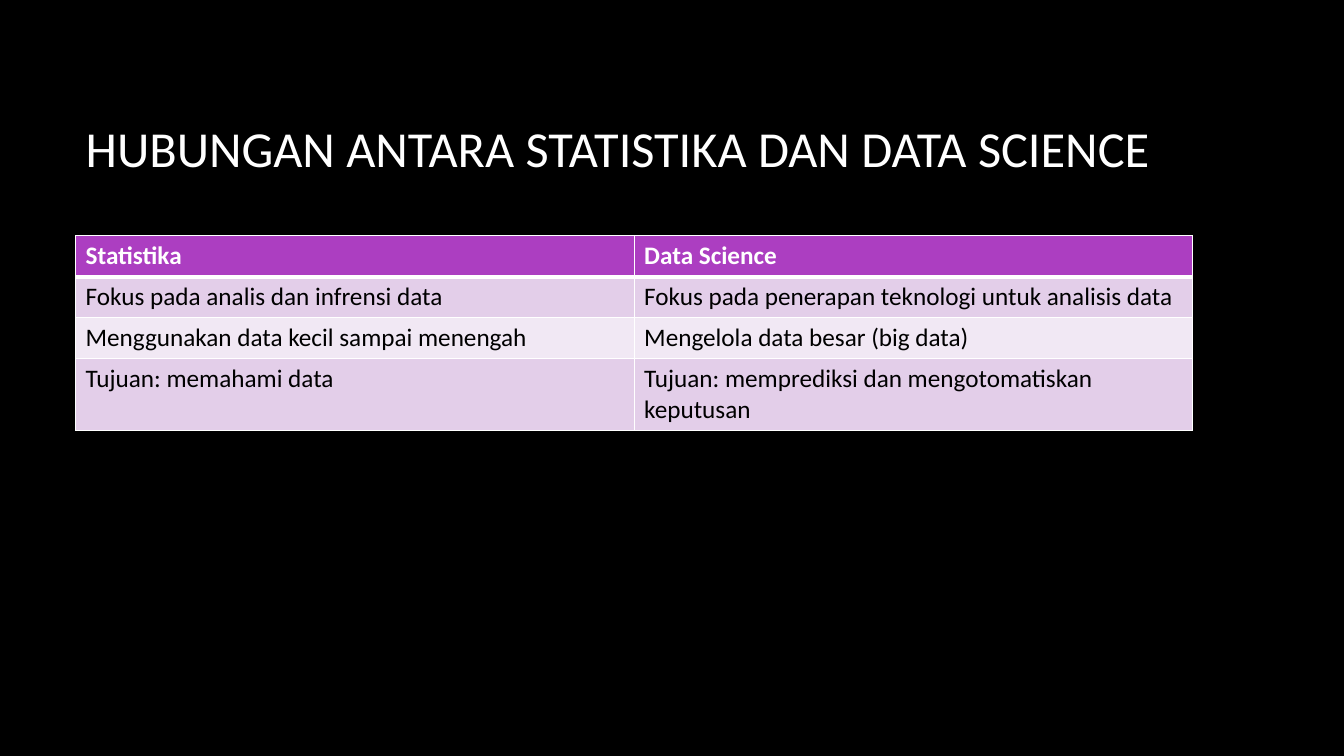
from pptx import Presentation
from pptx import oxml
from pptx.dml.color import RGBColor
from pptx.enum import text
from pptx.oxml import ns
from pptx.util import Pt

FONT = "Calibri"
BLACK = RGBColor(0x00, 0x00, 0x00)
WHITE = RGBColor(0xFF, 0xFF, 0xFF)
PURPLE = RGBColor(0xAC, 0x3E, 0xC1)
LILAC = RGBColor(0xE3, 0xCE, 0xE9)
PALE_LILAC = RGBColor(0xF1, 0xE8, 0xF4)

LEFT = 54
WIDTH = 798
ROW_HEIGHTS = [29.2, 29.2, 29.2, 51.1]
ROWS = [
    ("Statistika", "Data Science"),
    ("Fokus pada analis dan infrensi data",
     "Fokus pada penerapan teknologi untuk analisis data"),
    ("Menggunakan data kecil sampai menengah", "Mengelola data besar (big data)"),
    ("Tujuan: memahami data", "Tujuan: memprediksi dan mengotomatiskan keputusan"),
]


def write(frame, words, size, color, bold=False):
    frame.text = words
    para = frame.paragraphs[0]
    para.alignment = text.PP_ALIGN.LEFT
    font = para.runs[0].font
    font.name = FONT
    font.size = Pt(size)
    font.bold = bold
    font.color.rgb = color


def add_title(page, words):
    title = page.shapes.title
    title.left, title.top = Pt(LEFT), Pt(48)
    title.width, title.height = Pt(WIDTH), Pt(114.5)
    write(title.text_frame, words, 36, WHITE)
    title.text_frame.vertical_anchor = text.MSO_ANCHOR.MIDDLE


def set_borders(cell, widths):
    properties = cell._tc.get_or_add_tcPr()
    for position, (side, width) in enumerate(widths.items()):
        line = oxml.parse_xml(
            f'<a:{side} {ns.nsdecls("a")} w="{Pt(width)}"><a:solidFill>'
            f'<a:srgbClr val="{WHITE}"/></a:solidFill></a:{side}>')
        properties.insert(position, line)


def add_comparison(page):
    frame = page.shapes.add_table(
        len(ROWS), 2, Pt(LEFT), Pt(168.5), Pt(WIDTH), Pt(sum(ROW_HEIGHTS)))
    table = frame.table
    for column in table.columns:
        column.width = Pt(WIDTH / 2)
    for index, (words, height) in enumerate(zip(ROWS, ROW_HEIGHTS)):
        table.rows[index].height = Pt(height)
        header = index == 0
        band = LILAC if index % 2 else PALE_LILAC
        borders = {"lnL": 1, "lnR": 1,
                   "lnT": 3 if index == 1 else 1, "lnB": 3 if header else 1}
        for cell, entry in zip(table.rows[index].cells, words):
            cell.fill.solid()
            cell.fill.fore_color.rgb = PURPLE if header else band
            write(cell.text_frame, entry, 18, WHITE if header else BLACK, header)
            set_borders(cell, borders)


def main():
    deck = Presentation()
    deck.slide_width, deck.slide_height = Pt(960), Pt(540)
    page = deck.slides.add_slide(deck.slide_layouts[5])
    page.background.fill.solid()
    page.background.fill.fore_color.rgb = BLACK
    add_title(page, "HUBUNGAN ANTARA STATISTIKA DAN DATA SCIENCE")
    add_comparison(page)
    deck.save("out.pptx")


if __name__ == "__main__":
    main()
